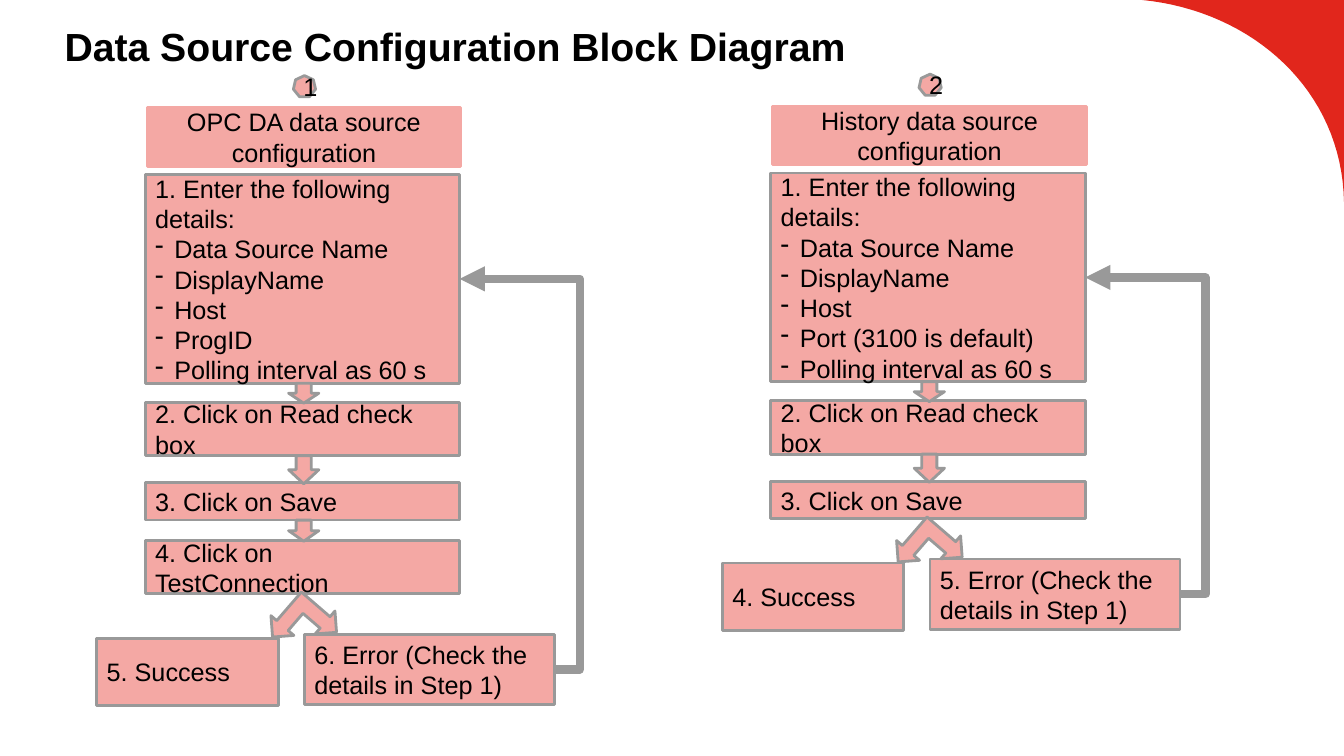
from dataclasses import dataclass

from lxml import etree
from pptx import Presentation
from pptx import util as u
from pptx.dml.color import RGBColor
from pptx.enum import shapes, text
from pptx.oxml import ns


@dataclass(frozen=True)
class Theme:
    font: str = "Arial"
    title_size: int = 28
    body_size: int = 18
    outline: float = 2
    loop_width: float = 6
    ink: str = "000000"
    pink: str = "F4A8A4"
    gray: str = "999999"
    red: str = "E1261C"


THEME = Theme()
WIDTH, HEIGHT = u.Inches(13.33), u.Inches(7.5)
KIND = shapes.MSO_SHAPE

# Shares of the slide in percent; the second flow is the first one shifted
FLOW_LEFT, FLOW_WIDTH = 10.8, 23.4
FLOW_SHIFT = (46.55, -0.2)
AXIS = 22.6
ARROW_WIDTH = 2.25
DETAILS_TOP, DETAILS_HEIGHT = 23.1, 27.6
STEP_ROWS = [(53.2, 7.07), (63.87, 4.93), (71.47, 7.07)]
LOOP_REACH = 0.268


def across(share):
    return round(WIDTH * share / 100)


def down(share):
    return round(HEIGHT * share / 100)


def color(value):
    return RGBColor.from_string(value)


def add_run(paragraph, words, size=THEME.body_size, bold=False):
    run = paragraph.add_run()
    run.text = words
    run.font.name = THEME.font
    run.font.size = u.Pt(size)
    run.font.bold = bold
    run.font.color.rgb = color(THEME.ink)


def add_dash(paragraph):
    properties = paragraph._p.get_or_add_pPr()
    properties.set("marL", str(u.Inches(0.19)))
    properties.set("indent", str(-u.Inches(0.19)))
    etree.SubElement(properties, ns.qn("a:buChar")).set("char", "-")


def add_block(group, kind, left, top, width, height, line=THEME.gray):
    block = group.shapes.add_shape(
        kind, across(left), down(top), across(width), down(height))
    block.shadow.inherit = False
    block.fill.solid()
    block.fill.fore_color.rgb = color(THEME.pink)
    block.line.color.rgb = color(line)
    block.line.width = u.Pt(THEME.outline)
    return block


def write(block, lines, align=text.PP_ALIGN.LEFT):
    """First line is plain, the following ones are dashed items."""
    frame = block.text_frame
    frame.word_wrap = True
    frame.vertical_anchor = text.MSO_ANCHOR.MIDDLE
    for index, words in enumerate(lines):
        paragraph = frame.add_paragraph() if index else frame.paragraphs[0]
        paragraph.alignment = align
        if index:
            add_dash(paragraph)
        add_run(paragraph, words)


def add_box(group, lines, *place):
    box = add_block(group, KIND.RECTANGLE, *place)
    write(box, lines)
    return box


def add_loop(group, error, details):
    """Elbow arrow from the error box back to the details box."""
    loop = group.shapes.add_connector(
        shapes.MSO_CONNECTOR.ELBOW,
        error.left + error.width, error.top + error.height // 2,
        details.left + details.width, details.top + details.height // 2)
    loop.line.color.rgb = color(THEME.gray)
    loop.line.width = u.Pt(THEME.loop_width)
    properties = loop._element.spPr
    guides = properties.find(ns.qn("a:prstGeom")).find(ns.qn("a:avLst"))
    guide = etree.SubElement(guides, ns.qn("a:gd"))
    guide.set("name", "adj1")
    guide.set("fmla", f"val {round(-LOOP_REACH * 100000)}")
    outline = properties.find(ns.qn("a:ln"))
    etree.SubElement(outline, ns.qn("a:round"))
    etree.SubElement(outline, ns.qn("a:tailEnd")).set("type", "triangle")
    etree.SubElement(properties, ns.qn("a:effectLst"))


def add_flow(slide, number, heading, details, steps, success, error):
    shift_x, shift_y = [(number - 1) * shift for shift in FLOW_SHIFT]
    left, axis = FLOW_LEFT + shift_x, AXIS + shift_x
    group = slide.shapes.add_group_shape()

    # Heading and number badge
    header = add_block(group, KIND.RECTANGLE, left + 0.15, 14.25 + shift_y,
                       23.33, 7.73, line=THEME.pink)
    write(header, [heading], text.PP_ALIGN.CENTER)
    badge = add_block(group, KIND.HEPTAGON, axis - 0.77, 10 + shift_y, 1.65, 2.8)
    write(badge, [str(number)], text.PP_ALIGN.CENTER)

    # Steps, each reached by a down arrow that fills the gap above it
    details_top = DETAILS_TOP + shift_y
    details_box = add_box(group, details, left, details_top, FLOW_WIDTH, DETAILS_HEIGHT)
    bottom = details_top + DETAILS_HEIGHT
    for step, (row, height) in zip(steps, STEP_ROWS):
        top = row + shift_y
        add_box(group, [step], left, top, FLOW_WIDTH, height)
        add_block(group, KIND.DOWN_ARROW, axis - ARROW_WIDTH / 2, bottom,
                  ARROW_WIDTH, top - bottom + 0.13)
        bottom = top + height

    # Outcomes
    add_box(group, [success], left - 3.6, bottom + 5.87, 13.5, 8.93)
    error_box = add_box(group, [error], left + 11.85, bottom + 5.35, 18.6, 9.33)
    fork = add_block(group, KIND.LEFT_UP_ARROW, axis - 2.25, bottom, 4.5, 8)
    fork.rotation = 220.8
    add_loop(group, error_box, details_box)


def add_corner(slide):
    """Red corner bounded by a cubic curve."""
    curve = [(100, 26.67), (99.85, 12), (93.25, 1.47), (85, 0)]
    segments = 32
    points = []
    for index in range(1, segments + 1):
        t = index / segments
        weights = [(1 - t) ** 3, 3 * t * (1 - t) ** 2, 3 * t * t * (1 - t), t ** 3]
        x, y = [sum(w * p[axis] for w, p in zip(weights, curve)) for axis in (0, 1)]
        points.append((across(x), down(y)))
    builder = slide.shapes.build_freeform(across(100), down(26.67))
    builder.add_line_segments(points + [(across(100), 0)], close=True)
    corner = builder.convert_to_shape()
    corner.shadow.inherit = False
    corner.fill.solid()
    corner.fill.fore_color.rgb = color(THEME.red)
    corner.line.fill.background()


def add_title(slide, words):
    title = slide.shapes.title
    title.left, title.top = across(4.05), down(1.87)
    title.width, title.height = across(91.9), down(6.13)
    frame = title.text_frame
    frame.word_wrap = True
    frame.auto_size = text.MSO_AUTO_SIZE.NONE
    frame.vertical_anchor = text.MSO_ANCHOR.TOP
    frame.margin_top = u.Inches(0.08)
    frame.paragraphs[0].alignment = text.PP_ALIGN.LEFT
    add_run(frame.paragraphs[0], words, THEME.title_size, bold=True)


def main():
    deck = Presentation()
    deck.slide_width, deck.slide_height = WIDTH, HEIGHT
    slide = deck.slides.add_slide(deck.slide_layouts.get_by_name("Title Only"))
    add_corner(slide)
    add_title(slide, "Data Source Configuration Block Diagram")

    intro = ["1. Enter the following details:", "Data Source Name", "DisplayName", "Host"]
    polling = "Polling interval as 60 s"
    steps = ["2. Click on Read check box", "3. Click on Save"]
    retry = "Error (Check the details in Step 1)"
    add_flow(slide, 1, "OPC DA data source configuration",
             intro + ["ProgID", polling],
             steps + ["4. Click on TestConnection"],
             "5. Success", f"6. {retry}")
    add_flow(slide, 2, "History data source configuration",
             intro + ["Port (3100 is default)", polling],
             steps, "4. Success", f"5. {retry}")
    deck.save("out.pptx")


if __name__ == "__main__":
    main()
